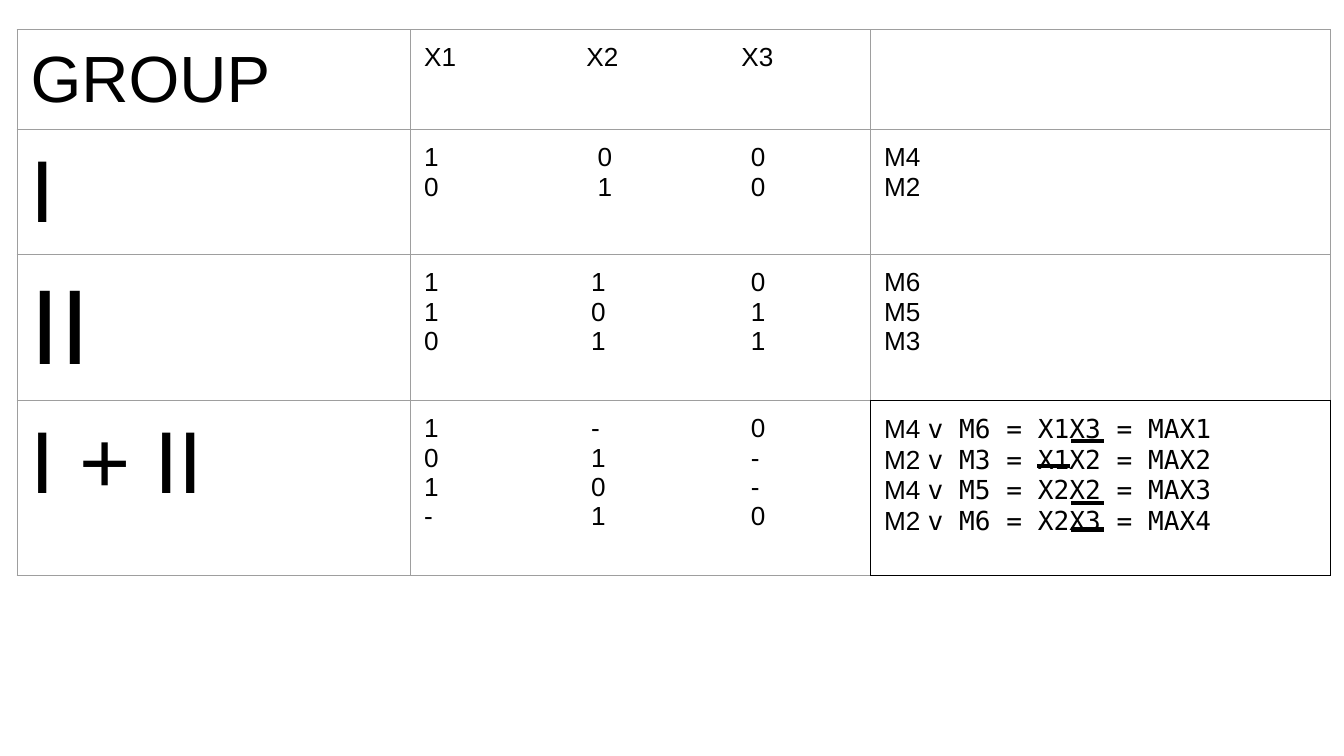
from lxml.etree import SubElement
from pptx import Presentation
from pptx.dml.color import RGBColor
from pptx.enum.shapes import MSO_CONNECTOR as CONNECTOR
from pptx.oxml.ns import qn
from pptx.util import Pt

BLACK = RGBColor(0x00, 0x00, 0x00)
GRAY = RGBColor(0x9E, 0x9E, 0x9E)
SANS = "Arial"
MONO = "DejaVu Sans Mono"

COLUMN_WIDTHS = [210.8, 246.4, 246.4]
ROWS = [
    (48.2, "GROUP", 35, (87, 170), ["X1\tX2\tX3"], []),
    (60.5, "I", 47, (93, 175), ["1\t0\t0", "0\t1\t0"], [("M4", ""), ("M2", "")]),
    (71.3, "II", 57, (89.5, 175), ["1\t1\t0", "1\t0\t1", "0\t1\t1"],
     [("M6", ""), ("M5", ""), ("M3", "")]),
    (93.6, "I + II", 47, (89.5, 175), ["1\t-\t0", "0\t1\t-", "1\t0\t-", "-\t1\t0"],
     [("M4 ", "v M6 = X1X3 = MAX1"), ("M2 ", "v M3 = X1X2 = MAX2"),
      ("M4 ", "v M5 = X2X2 = MAX3"), ("M2 ", "v M6 = X2X3 = MAX4")]),
]
NEGATION_BARS = [(573.8, 236.2), (555.8, 249.8), (573.8, 269.3), (573.8, 283.7)]
BAR_WIDTH = 17.4


def write_lines(cell, lines, size, tab_stops=()):
    for index, parts in enumerate(lines):
        frame = cell.text_frame
        paragraph = frame.add_paragraph() if index else frame.paragraphs[0]
        if tab_stops:
            tab_list = SubElement(paragraph._p.get_or_add_pPr(), qn("a:tabLst"))
            for stop in tab_stops:
                SubElement(tab_list, qn("a:tab"), pos=str(Pt(stop)), algn="l")
        for text, font_name in zip(parts, (SANS, MONO)):
            if text:
                run = paragraph.add_run()
                run.text = text
                run.font.name = font_name
                run.font.size = Pt(size)
                run.font.color.rgb = BLACK


def set_borders(cell, colors):
    properties = cell._tc.get_or_add_tcPr()
    for side, color in zip("LRTB", colors):
        line = SubElement(properties, qn(f"a:ln{side}"), w=str(Pt(0.75)))
        fill = SubElement(line, qn("a:solidFill"))
        SubElement(fill, qn("a:srgbClr"), val=str(color))


presentation = Presentation()
presentation.slide_width = Pt(720)
presentation.slide_height = Pt(405)
slide = presentation.slides.add_slide(presentation.slide_layouts[6])

table = slide.shapes.add_table(
    len(ROWS), len(COLUMN_WIDTHS), Pt(9.2), Pt(15.9),
    Pt(sum(COLUMN_WIDTHS)), Pt(sum(row[0] for row in ROWS))).table
table.first_row = False
table.horz_banding = False
for column, width in zip(table.columns, COLUMN_WIDTHS):
    column.width = Pt(width)

border_colors = {
    (2, 2): (GRAY, GRAY, GRAY, BLACK),
    (3, 1): (GRAY, BLACK, GRAY, GRAY),
    (3, 2): (BLACK, BLACK, BLACK, BLACK),
}
for row_index, (height, group, size, stops, values, minterms) in enumerate(ROWS):
    table.rows[row_index].height = Pt(height)
    for column_index in range(len(COLUMN_WIDTHS)):
        cell = table.cell(row_index, column_index)
        cell.margin_left = cell.margin_right = Pt(7.2)
        cell.margin_top = cell.margin_bottom = Pt(7.2)
        set_borders(cell, border_colors.get((row_index, column_index), (GRAY,) * 4))
        cell.fill.background()
    write_lines(table.cell(row_index, 0), [(group,)], size)
    write_lines(table.cell(row_index, 1), [(value,) for value in values], 14, stops)
    write_lines(table.cell(row_index, 2), minterms, 14)

for left, top in NEGATION_BARS:
    bar = slide.shapes.add_connector(
        CONNECTOR.STRAIGHT, Pt(left), Pt(top), Pt(left + BAR_WIDTH), Pt(top))
    bar.line.color.rgb = BLACK
    bar.line.width = Pt(2.25)
    SubElement(bar._element.spPr, qn("a:effectLst"))

presentation.save("out.pptx")
